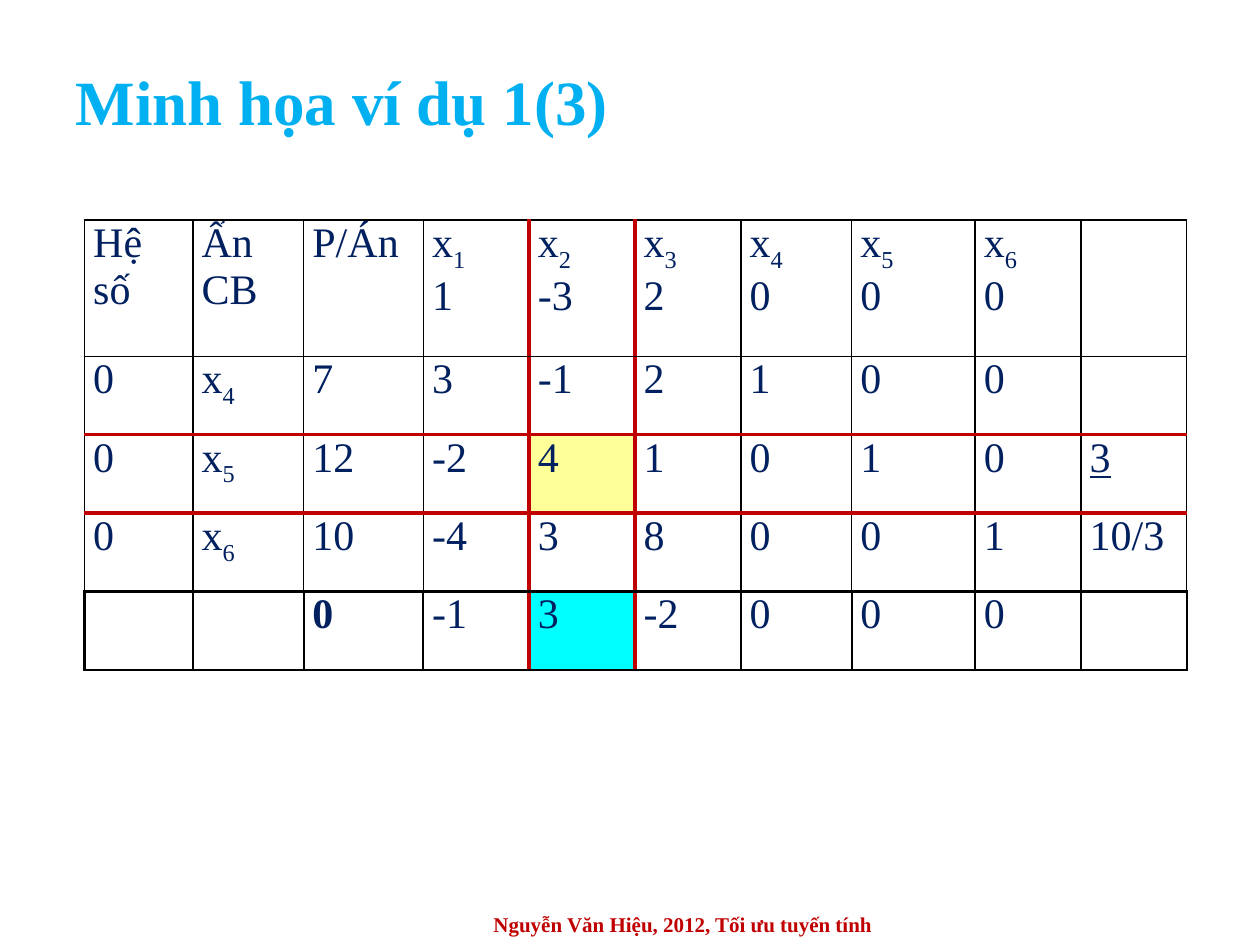
from dataclasses import dataclass

import pptx
import pptx.dml.color
import pptx.enum.text
import pptx.oxml
import pptx.oxml.ns
import pptx.slide
import pptx.table
import pptx.text.text
import pptx.util


@dataclass(frozen=True)
class Theme:
    font: str = "Times New Roman"
    title_color: str = "00B0F0"
    accent: str = "C00000"
    ink: str = "002060"
    grid: str = "000000"
    pivot: str = "FFFF99"
    estimate: str = "00FFFF"
    title_size: float = 36
    table_size: float = 24
    footer_size: float = 12
    subscript: str = "-25000"


@dataclass(frozen=True)
class Area:
    left: float
    top: float
    width: float
    height: float

    def lengths(self) -> tuple[int, int, int, int]:
        return (across(self.left), down(self.top), across(self.width), down(self.height))


@dataclass(frozen=True)
class Border:
    color: str
    width: float


THEME = Theme()
SLIDE_WIDTH = pptx.util.Inches(10)
SLIDE_HEIGHT = pptx.util.Inches(7.5)

THIN = Border(THEME.grid, 1)
MEDIUM = Border(THEME.grid, 1.5)
THICK = Border(THEME.accent, 2.25)

TITLE_AREA = Area(5, 5.6, 90, 10)
FOOTER_AREA = Area(29.2, 95.6, 50, 4.4)
COLUMNS = (8.6, 8.8, 9.5, 8.4, 8.4, 8.4, 8.8, 9.8, 8.4, 8.4)
ROWS = (14.4,) + (8.3,) * 4
TABLE_AREA = Area(6.7, 23.3, sum(COLUMNS), sum(ROWS))

PIVOT_ROW, PIVOT_COLUMN, ESTIMATE_ROW = 2, 4, 4
FILLS = {
    (PIVOT_ROW, PIVOT_COLUMN): THEME.pivot,
    (ESTIMATE_ROW, PIVOT_COLUMN): THEME.estimate,
}
BOLD_CELL = (ESTIMATE_ROW, 2)
UNDERLINED_CELL = (PIVOT_ROW, 9)

COSTS = ("1", "-3", "2", "0", "0", "0")
HEADER = (
    ("Hệ số", "Ẩn CB", "P/Án")
    + tuple(f"x_{index}\n{cost}" for index, cost in enumerate(COSTS, 1))
    + ("",)
)
TABLEAU = (
    HEADER,
    ("0", "x_4", "7", "3", "-1", "2", "1", "0", "0", ""),
    ("0", "x_5", "12", "-2", "4", "1", "0", "1", "0", "3"),
    ("0", "x_6", "10", "-4", "3", "8", "0", "0", "1", "10/3"),
    ("", "", "0", "-1", "3", "-2", "0", "0", "0", ""),
)


def across(percent: float) -> int:
    return round(SLIDE_WIDTH * percent / 100)


def down(percent: float) -> int:
    return round(SLIDE_HEIGHT * percent / 100)


def add_run(
    paragraph: pptx.text.text._Paragraph,
    text: str,
    size: float,
    color: str,
    bold: bool = False,
) -> pptx.text.text._Run:
    run = paragraph.add_run()
    run.text = text
    run.font.name = THEME.font
    run.font.size = pptx.util.Pt(size)
    run.font.bold = bold
    run.font.color.rgb = pptx.dml.color.RGBColor.from_string(color)
    return run


def add_title(slide: pptx.slide.Slide, text: str) -> None:
    title = slide.shapes.title
    title.left, title.top, title.width, title.height = TITLE_AREA.lengths()
    title.text_frame.vertical_anchor = pptx.enum.text.MSO_ANCHOR.MIDDLE
    paragraph = title.text_frame.paragraphs[0]
    paragraph.alignment = pptx.enum.text.PP_ALIGN.LEFT
    add_run(paragraph, text, THEME.title_size, THEME.title_color, bold=True)


def add_footer(slide: pptx.slide.Slide, text: str) -> None:
    frame = slide.shapes.add_textbox(*FOOTER_AREA.lengths()).text_frame
    frame.word_wrap = True
    frame.vertical_anchor = pptx.enum.text.MSO_ANCHOR.MIDDLE
    paragraph = frame.paragraphs[0]
    paragraph.alignment = pptx.enum.text.PP_ALIGN.CENTER
    add_run(paragraph, text, THEME.footer_size, THEME.accent, bold=True)


def vertical_border(row: int, edge: int) -> Border:
    if edge in (PIVOT_COLUMN, PIVOT_COLUMN + 1):
        return THICK
    return MEDIUM if row == ESTIMATE_ROW else THIN


def horizontal_border(edge: int) -> Border:
    if edge in (PIVOT_ROW, PIVOT_ROW + 1):
        return THICK
    return MEDIUM if edge >= ESTIMATE_ROW else THIN


def set_borders(cell: pptx.table._Cell, row: int, column: int) -> None:
    borders = {
        "lnL": vertical_border(row, column),
        "lnR": vertical_border(row, column + 1),
        "lnT": horizontal_border(row),
        "lnB": horizontal_border(row + 1),
    }
    properties = cell._tc.get_or_add_tcPr()
    for tag, border in borders.items():
        properties.append(pptx.oxml.parse_xml(
            f'<a:{tag} {pptx.oxml.ns.nsdecls("a")} w="{pptx.util.Pt(border.width)}">'
            f'<a:solidFill><a:srgbClr val="{border.color}"/></a:solidFill></a:{tag}>'
        ))


def write_cell(cell: pptx.table._Cell, text: str, bold: bool, underlined: bool) -> None:
    cell.margin_left = cell.margin_right = pptx.util.Inches(0.07)
    cell.margin_top = cell.margin_bottom = 0
    for index, line in enumerate(text.split("\n") if text else ()):
        frame = cell.text_frame
        paragraph = frame.add_paragraph() if index else frame.paragraphs[0]
        paragraph.alignment = pptx.enum.text.PP_ALIGN.JUSTIFY
        base, _, subscript = line.partition("_")
        run = add_run(paragraph, base, THEME.table_size, THEME.ink, bold)
        if underlined:
            run.font.underline = True
        if subscript:
            run = add_run(paragraph, subscript, THEME.table_size, THEME.ink, bold)
            run.font._element.set("baseline", THEME.subscript)


def add_tableau(slide: pptx.slide.Slide) -> None:
    table = slide.shapes.add_table(len(ROWS), len(COLUMNS), *TABLE_AREA.lengths()).table
    table.first_row = table.horz_banding = False
    for column, width in zip(table.columns, COLUMNS):
        column.width = across(width)
    for row, height in zip(table.rows, ROWS):
        row.height = down(height)
    for row, texts in enumerate(TABLEAU):
        for column, text in enumerate(texts):
            cell = table.cell(row, column)
            place = (row, column)
            write_cell(cell, text, place == BOLD_CELL, place == UNDERLINED_CELL)
            set_borders(cell, row, column)
            if place in FILLS:
                cell.fill.solid()
                cell.fill.fore_color.rgb = pptx.dml.color.RGBColor.from_string(FILLS[place])
            else:
                cell.fill.background()


def main() -> None:
    presentation = pptx.Presentation()
    presentation.slide_width = SLIDE_WIDTH
    presentation.slide_height = SLIDE_HEIGHT
    slide = presentation.slides.add_slide(presentation.slide_layouts.get_by_name("Title Only"))
    add_title(slide, "Minh họa ví dụ 1(3)")
    add_footer(slide, "Nguyễn Văn Hiệu, 2012, Tối ưu tuyến tính")
    add_tableau(slide)
    presentation.save("out.pptx")


if __name__ == "__main__":
    main()
